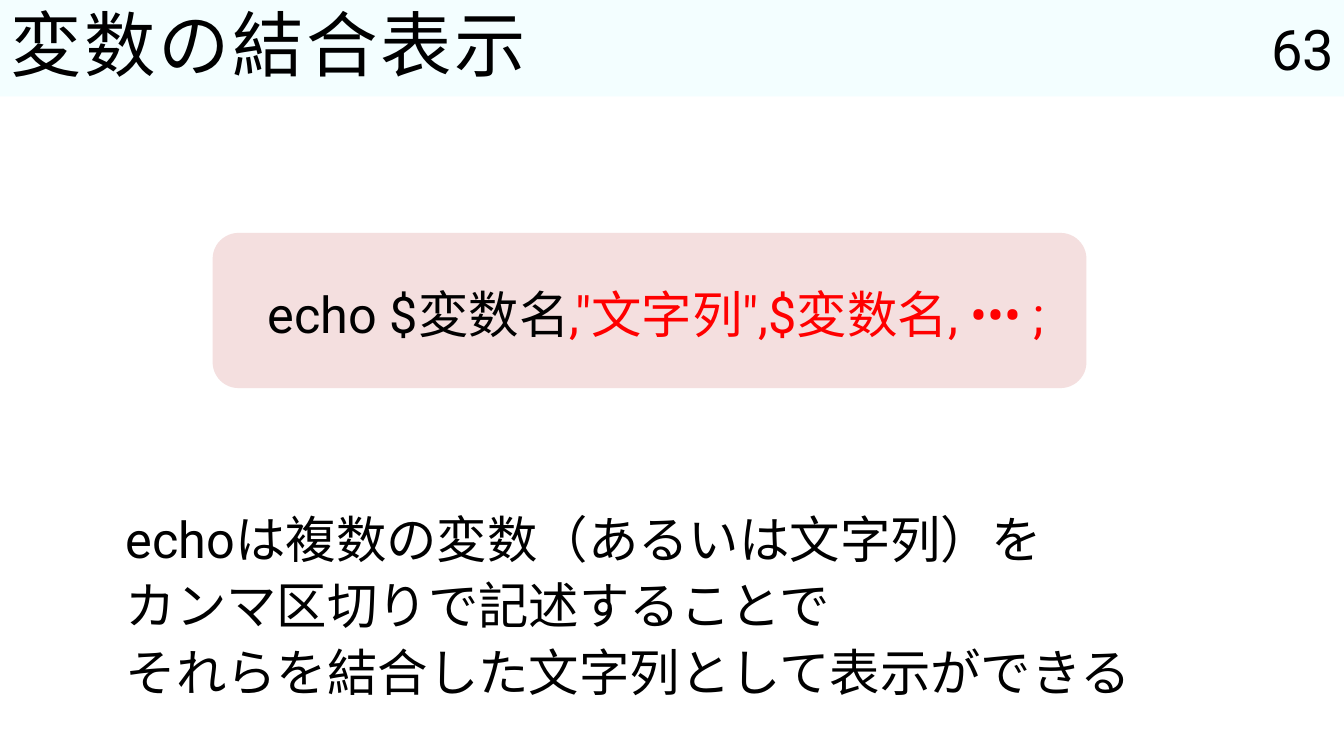
from pptx import Presentation
from pptx.dml.color import RGBColor
from pptx.enum.shapes import MSO_SHAPE as Shape
from pptx.enum.text import MSO_ANCHOR as Anchor, MSO_AUTO_SIZE as Fit, PP_ALIGN as Align
from pptx.util import Cm, Pt
from lxml import etree

FONT = "Roboto"
MAIN = "http://schemas.openxmlformats.org/drawingml/2006/main"


def paint(fill, color):
    fill.solid()
    fill.fore_color.rgb = RGBColor.from_string(color)


def write(shape, parts, size, align=Align.LEFT, anchor=Anchor.TOP, lead=1.0, gap=0):
    """Fill one paragraph with (text, color) parts; a newline is a line break."""
    frame = shape.text_frame
    frame.word_wrap = True
    frame.auto_size = Fit.NONE
    frame.vertical_anchor = anchor
    para = frame.paragraphs[0]
    para.alignment = align
    para.line_spacing = lead
    for text, color in parts:
        for row, line in enumerate(text.split("\n")):
            if row:
                para.add_line_break()
            run = para.add_run()
            run.text = line
            font = run.font
            font.size = Pt(size)
            font.name = FONT
            paint(font.fill, color)
            props = font._element
            etree.SubElement(props, f"{{{MAIN}}}ea", typeface=FONT)
            if gap:
                props.set("spc", str(gap * 100))


deck = Presentation()
deck.slide_width, deck.slide_height = Cm(33.87), Cm(19.05)
slide = deck.slides.add_slide(deck.slide_layouts[5])
shapes = slide.shapes

# Header
title = shapes.title
title.left, title.top, title.width, title.height = Cm(0), Cm(0), Cm(33.87), Cm(2.43)
paint(title.fill, "F3FEFF")
write(title, [("変数の結合表示", "000000")], 51, anchor=Anchor.MIDDLE, lead=0.9, gap=2)

# Explanation
body = shapes.add_textbox(Cm(2.92), Cm(12.52), Cm(28.04), Cm(5.44))
note = "echoは複数の変数（あるいは文字列）を\nカンマ区切りで記述することで\nそれらを結合した文字列として表示ができる"
write(body, [(note, "000000")], 36, lead=1.1)

# Page number
page = shapes.add_textbox(Cm(30.06), Cm(0), Cm(3.81), Cm(2.43))
write(page, [("63", "000000")], 40, align=Align.RIGHT, anchor=Anchor.MIDDLE)

# Syntax panel
group = shapes.add_group_shape().shapes
panel = group.add_shape(Shape.ROUNDED_RECTANGLE, Cm(5.36), Cm(5.87), Cm(22.02), Cm(3.91))
panel.shadow.inherit = False
paint(panel.fill, "F4DFDF")
panel.line.fill.background()
code = group.add_textbox(Cm(3.84), Cm(6.86), Cm(25.4), Cm(2.9))
write(code, [("echo $変数名", "000000"), (',"文字列",$変数名, ••• ;', "FF0000")],
      36, align=Align.CENTER, lead=1.1)

deck.save("out.pptx")
